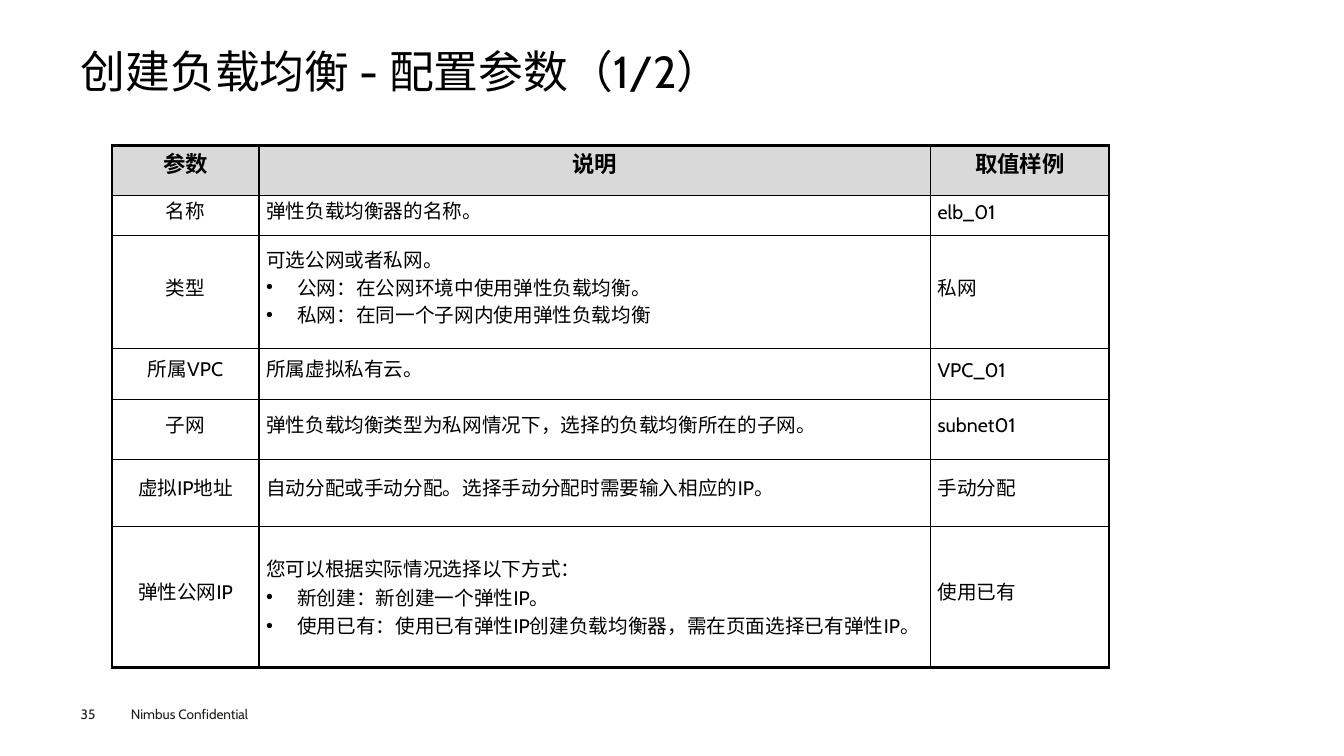
from dataclasses import dataclass

from lxml.etree import SubElement
from pptx import Presentation
from pptx.dml.color import RGBColor
from pptx.enum.text import MSO_ANCHOR as Anchor, MSO_AUTO_SIZE as AutoSize, PP_ALIGN as Align
from pptx.oxml.ns import qn
from pptx.util import Inches, Pt


@dataclass(frozen=True)
class Theme:
    font: str = "Cabin"
    ink: str = "000000"
    footer_ink: str = "1D1D1B"
    header_fill: str = "D9D9D9"
    title_size: float = 32
    header_size: float = 16
    body_size: float = 14
    footer_size: float = 9.7
    frame_line: float = 2.25
    inner_line: float = 1


BULLET = "• "
COLUMN_WIDTHS = [1.46, 6.66, 1.77]
ROW_HEIGHTS = [0.5, 0.4, 1.12, 0.5, 0.6, 0.66, 1.4]
PARAMETERS = [
    ("参数", ["说明"], "取值样例"),
    ("名称", ["弹性负载均衡器的名称。"], "elb_01"),
    ("类型", ["可选公网或者私网。",
            BULLET + "公网：在公网环境中使用弹性负载均衡。",
            BULLET + "私网：在同一个子网内使用弹性负载均衡"], "私网"),
    ("所属VPC", ["所属虚拟私有云。"], "VPC_01"),
    ("子网", ["弹性负载均衡类型为私网情况下，选择的负载均衡所在的子网。"], "subnet01"),
    ("虚拟IP地址", ["自动分配或手动分配。选择手动分配时需要输入相应的IP。"], "手动分配"),
    ("弹性公网IP", ["您可以根据实际情况选择以下方式：",
                BULLET + "新创建：新创建一个弹性IP。",
                BULLET + "使用已有：使用已有弹性IP创建负载均衡器，需在页面选择已有弹性IP。"], "使用已有"),
]


class SlideBuilder:
    def __init__(self, slide, theme):
        self.slide = slide
        self.theme = theme

    def run(self, p, text, size, color, bold=False):
        r = p.add_run()
        r.text = text
        r.font.name = self.theme.font
        r.font.size = Pt(size)
        r.font.bold = bold
        r.font.color.rgb = RGBColor.from_string(color)

    def text(self, box, text, size, color, inset=(0, 0), line_spacing=None, grow=False):
        sp = self.slide.shapes.add_textbox(*map(Inches, box))
        tf = sp.text_frame
        tf.word_wrap = True
        tf.auto_size = AutoSize.SHAPE_TO_FIT_TEXT if grow else AutoSize.NONE
        tf.margin_left = tf.margin_right = Inches(inset[0])
        tf.margin_top = tf.margin_bottom = Inches(inset[1])
        p = tf.paragraphs[0]
        p.line_spacing = line_spacing
        self.run(p, text, size, color)

    def bullet(self, p):
        pPr = p._p.get_or_add_pPr()
        pPr.set("marL", str(Inches(0.31)))
        pPr.set("indent", str(-Inches(0.31)))
        SubElement(pPr, qn("a:buFont"), typeface="Arial")
        SubElement(pPr, qn("a:buChar"), char="•")

    def borders(self, cell, widths):
        """Draw the left, right, top and bottom lines, widths in points."""
        tcPr = cell._tc.get_or_add_tcPr()
        for side, width in zip("LRTB", widths):
            ln = SubElement(tcPr, qn(f"a:ln{side}"), w=str(Pt(width)))
            fill = SubElement(ln, qn("a:solidFill"))
            SubElement(fill, qn("a:srgbClr"), val=self.theme.ink)

    def cell(self, cell, lines, header, centered, spaced):
        cell.vertical_anchor = Anchor.MIDDLE
        cell.margin_left = cell.margin_right = Inches(0.07)
        cell.margin_top = cell.margin_bottom = 0
        if header:
            cell.fill.solid()
            cell.fill.fore_color.rgb = RGBColor.from_string(self.theme.header_fill)
        else:
            cell.fill.background()
        tf = cell.text_frame
        size = self.theme.header_size if header else self.theme.body_size
        for i, line in enumerate(lines):
            p = tf.add_paragraph() if i else tf.paragraphs[0]
            p.alignment = Align.CENTER if centered else Align.LEFT
            if spaced:
                p.line_spacing = Pt(12)
                p.space_before = Pt(4 if i else 0)
                p.space_after = Pt(4)
            if line.startswith(BULLET):
                self.bullet(p)
            self.run(p, line.removeprefix(BULLET), size, self.theme.ink, header)

    def table(self, left, top, widths, heights, rows):
        frame = self.slide.shapes.add_table(
            len(rows), len(widths), Inches(left), Inches(top),
            Inches(sum(widths)), Inches(sum(heights)))
        table = frame.table
        table.first_row = table.horz_banding = False
        for column, width in zip(table.columns, widths):
            column.width = Inches(width)
        for row, height in zip(table.rows, heights):
            row.height = Inches(height)
        last_row, last_column = len(rows) - 1, len(widths) - 1
        for i, (name, description, example) in enumerate(rows):
            for j, lines in enumerate(([name], description, [example])):
                cell = table.cell(i, j)
                edges = (j == 0, j == last_column, i == 0, i == last_row)
                self.borders(cell, [self.theme.frame_line if edge else self.theme.inner_line
                                    for edge in edges])
                self.cell(cell, lines, header=i == 0, centered=i == 0 or j == 0,
                          spaced=not (i == last_row and j == 1))


def main():
    prs = Presentation()
    prs.slide_width, prs.slide_height = Inches(13.33), Inches(7.5)
    theme = Theme()
    s = SlideBuilder(prs.slides.add_slide(prs.slide_layouts[6]), theme)
    s.text((1.2, 6.95, 1.6, 0.27), "Nimbus Confidential", theme.footer_size,
           theme.footer_ink, inset=(0.1, 0.05), grow=True)
    s.text((0.8, 7, 0.55, 0.16), "35", theme.footer_size, theme.footer_ink, grow=True)
    s.text((0.8, 0.49, 11.73, 0.54), "创建负载均衡 - 配置参数（1/2）",
           theme.title_size, theme.ink, line_spacing=0.9)
    s.table(1.11, 1.44, COLUMN_WIDTHS, ROW_HEIGHTS, PARAMETERS)
    prs.save("out.pptx")


if __name__ == "__main__":
    main()
